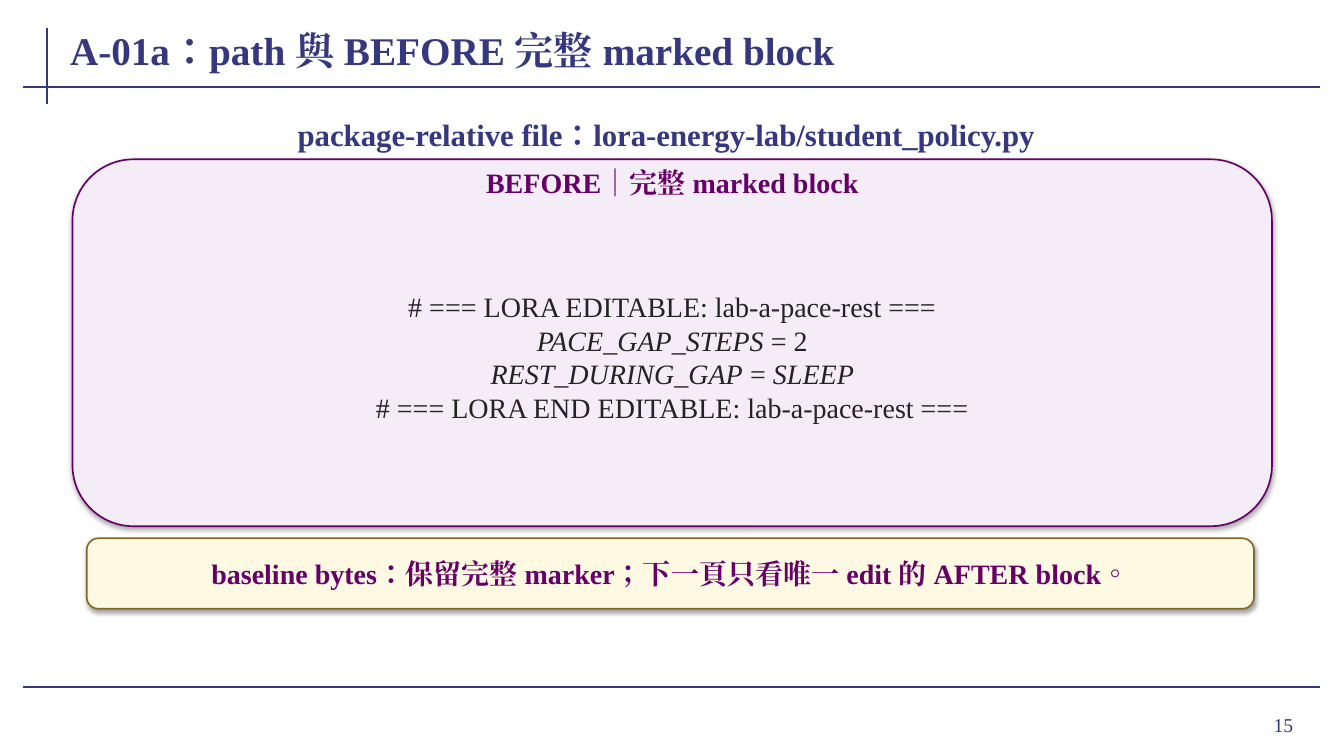
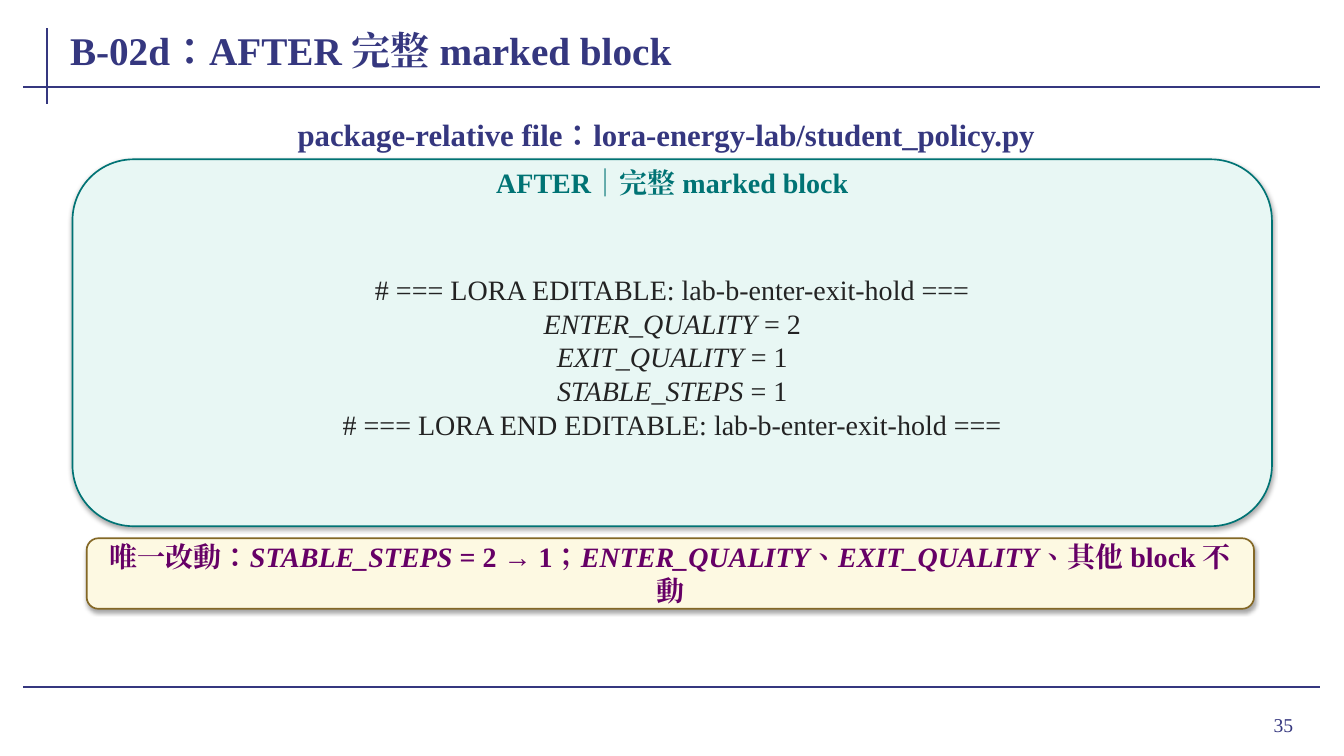
from lxml.etree import SubElement
from pptx import Presentation
from pptx.dml.color import RGBColor
from pptx.enum.lang import MSO_LANGUAGE_ID
from pptx.enum.shapes import MSO_CONNECTOR, MSO_SHAPE
from pptx.enum.text import MSO_ANCHOR, MSO_AUTO_SIZE, PP_ALIGN
from pptx.oxml.ns import qn
from pptx.util import Pt

FONT = "Times New Roman"
COLORS = {
    "navy": "35377F",
    "ink": "232323",
    "purple": "660066",
    "lilac": "F4EDF7",
    "teal": "007374",
    "mint": "E8F7F4",
    "gold": "846826",
    "cream": "FDF9E2",
    "shadow": "000000",
}
FRAME_LINES = [
    (33.8, 20.2, 33.8, 74.2),
    (16.6, 61.9, 943.2, 61.9),
    (16.6, 491, 943.2, 491),
]
TITLE_AREA = (49, 13, 860.4, 44.6)
FILE_AREA = (59, 83.5, 833.8, 24.5)
CODE_PANEL = (51.8, 113.8, 856.8, 262.1)
LABEL_AREA = (64.8, 121, 830.9, 18)
CODE_AREA = (67.7, 141.1, 825.1, 227.5)
NOTE_PANEL = (61.9, 384.5, 833.8, 50.4)
NOTE_AREA = (74.9, 389.5, 807.8, 40.3)
NUMBER_AREA = (861.1, 499, 69.8, 37.4)
FILE_LINE = "package-relative file：lora-energy-lab/student_policy.py"

PAGES = [
    {
        "number": "15",
        "title": "A-01a：path 與 BEFORE 完整 marked block",
        "label": "BEFORE｜完整 marked block",
        "accent": "purple",
        "fill": "lilac",
        "code": [
            "# === LORA EDITABLE: lab-a-pace-rest ===",
            "*PACE_GAP_STEPS* = 2",
            "*REST_DURING_GAP* = *SLEEP*",
            "# === LORA END EDITABLE: lab-a-pace-rest ===",
        ],
        "note": "baseline bytes：保留完整 marker；下一頁只看唯一 edit 的 AFTER block。",
    },
    {
        "number": "35",
        "title": "B-02d：AFTER 完整 marked block",
        "label": "AFTER｜完整 marked block",
        "accent": "teal",
        "fill": "mint",
        "code": [
            "# === LORA EDITABLE: lab-b-enter-exit-hold ===",
            "*ENTER_QUALITY* = 2",
            "*EXIT_QUALITY* = 1",
            "*STABLE_STEPS* = 1",
            "# === LORA END EDITABLE: lab-b-enter-exit-hold ===",
        ],
        "note": "唯一改動：*STABLE_STEPS* = 2 → 1；*ENTER_QUALITY*、*EXIT_QUALITY*、其他 block 不動",
    },
]


def color(name):
    return RGBColor.from_string(COLORS[name])


def points(area):
    return [Pt(value) for value in area]


def add_spans(para, text):
    for index, piece in enumerate(text.split("*")):
        if piece:
            span = para.add_run()
            span.text = piece
            span.font.language_id = MSO_LANGUAGE_ID.TRADITIONAL_CHINESE
            if index % 2:
                span.font.italic = True


def write(box, lines, size, tint, bold=False, align=PP_ALIGN.CENTER, inset=1):
    frame = box.text_frame
    frame.word_wrap = True
    frame.auto_size = MSO_AUTO_SIZE.NONE
    frame.vertical_anchor = MSO_ANCHOR.MIDDLE
    frame.margin_left = frame.margin_right = Pt(inset)
    frame.margin_top = frame.margin_bottom = 0
    for index, line in enumerate(lines):
        para = frame.add_paragraph() if index else frame.paragraphs[0]
        add_spans(para, line)
        para.alignment = align
        para.font.name = FONT
        para.font.size = Pt(size)
        para.font.bold = bold
        para.font.color.rgb = color(tint)
        defaults = para._p.pPr.find(qn("a:defRPr"))
        SubElement(defaults, qn("a:ea"), typeface=FONT)


def add_text(page, area, lines, size, tint, **style):
    box = page.shapes.add_textbox(*points(area))
    write(box, lines, size, tint, **style)


def add_title(page, text):
    title = page.shapes.title
    title.left, title.top, title.width, title.height = points(TITLE_AREA)
    write(title, [text], 28, "navy", bold=True, align=PP_ALIGN.LEFT)


def add_line(page, ends):
    line = page.shapes.add_connector(MSO_CONNECTOR.STRAIGHT, *points(ends))
    line.line.color.rgb = color("navy")
    line.line.width = Pt(1.5)
    SubElement(line._element.spPr, qn("a:effectLst"))


def add_panel(page, area, fill, outline):
    panel = page.shapes.add_shape(MSO_SHAPE.ROUNDED_RECTANGLE, *points(area))
    panel.fill.solid()
    panel.fill.fore_color.rgb = color(fill)
    panel.line.color.rgb = color(outline)
    panel.line.width = Pt(1.2)
    panel.shadow.inherit = False
    effects = panel._element.spPr.find(qn("a:effectLst"))
    shadow = SubElement(effects, qn("a:outerShdw"), blurRad=str(Pt(3.1)),
                        dist=str(Pt(1.8)), dir="5400000", rotWithShape="0")
    tint = SubElement(shadow, qn("a:srgbClr"), val=COLORS["shadow"])
    SubElement(tint, qn("a:alpha"), val="35000")


def add_frame(page, number):
    for ends in FRAME_LINES:
        add_line(page, ends)
    add_text(page, NUMBER_AREA, [number], 14, "navy", align=PP_ALIGN.RIGHT, inset=7.2)


def add_code_page(deck, content):
    page = deck.slides.add_slide(deck.slide_layouts[5])
    accent = content["accent"]
    add_frame(page, content["number"])
    add_title(page, content["title"])
    add_text(page, FILE_AREA, [FILE_LINE], 22, "navy", bold=True)
    add_panel(page, CODE_PANEL, content["fill"], accent)
    add_text(page, LABEL_AREA, [content["label"]], 20, accent, bold=True)
    add_text(page, CODE_AREA, content["code"], 20, "ink")
    add_panel(page, NOTE_PANEL, "cream", "gold")
    add_text(page, NOTE_AREA, [content["note"]], 20, "purple", bold=True)


def main():
    deck = Presentation()
    deck.slide_width, deck.slide_height = Pt(960), Pt(540)
    for content in PAGES:
        add_code_page(deck, content)
    deck.save("out.pptx")


if __name__ == "__main__":
    main()
